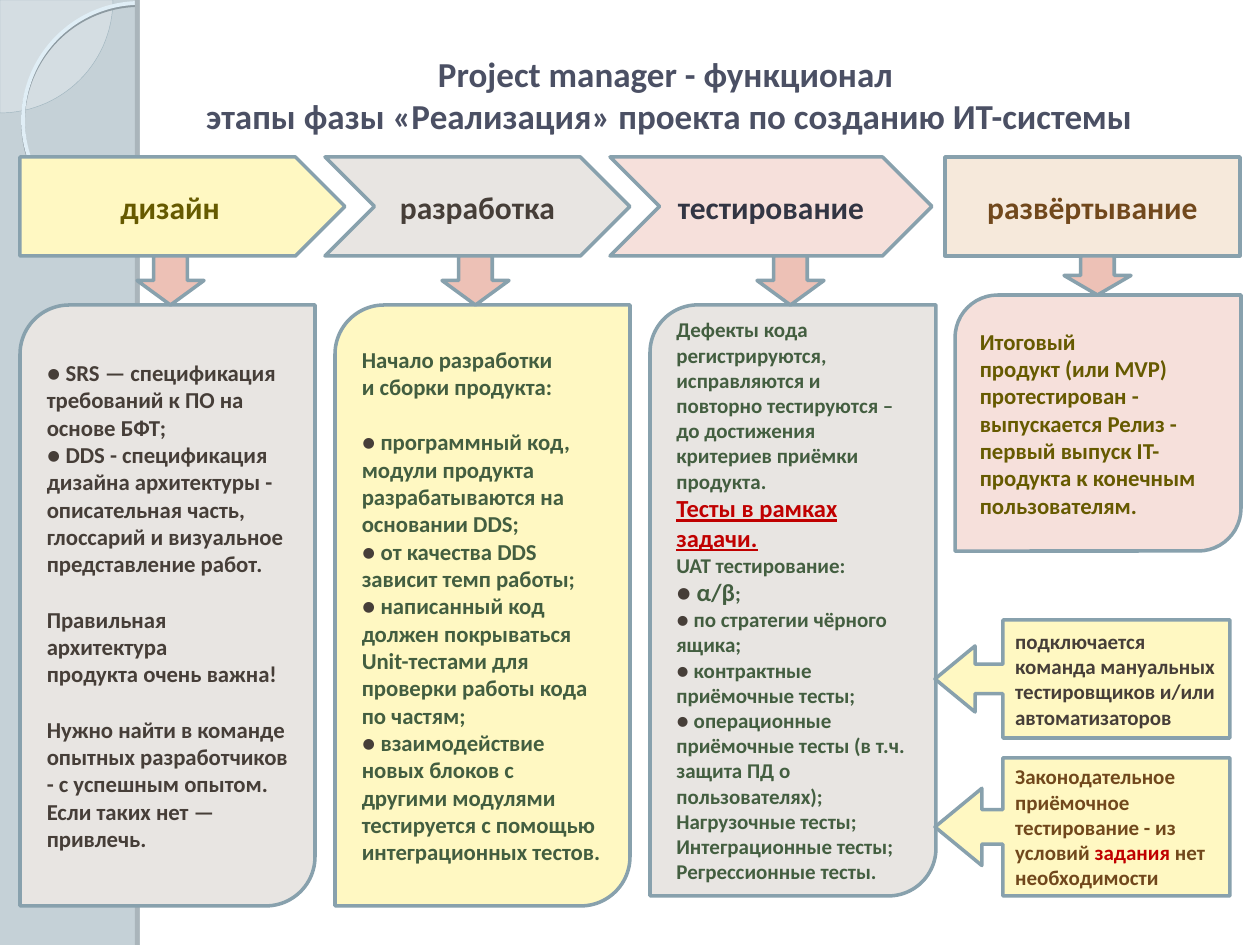
import math
from dataclasses import dataclass

from lxml import etree
from pptx import Presentation
from pptx.dml.color import RGBColor
from pptx.enum.shapes import MSO_SHAPE
from pptx.enum.text import MSO_ANCHOR, MSO_AUTO_SIZE, PP_ALIGN
from pptx.oxml.ns import qn
from pptx.util import Emu, Pt

PX = 914400 / 126
RECT, OVAL = MSO_SHAPE.RECTANGLE, MSO_SHAPE.OVAL
PENTAGON, CHEVRON = MSO_SHAPE.PENTAGON, MSO_SHAPE.CHEVRON
CARD, DOWN = MSO_SHAPE.ROUND_2_DIAG_RECTANGLE, MSO_SHAPE.DOWN_ARROW
CALLOUT = MSO_SHAPE.LEFT_ARROW_CALLOUT
LEFT, CENTER = PP_ALIGN.LEFT, PP_ALIGN.CENTER
MIDDLE, NO_FIT = MSO_ANCHOR.MIDDLE, MSO_AUTO_SIZE.NONE


@dataclass(frozen=True)
class Theme:
    font: str = "Calibri"
    title_size: int = 20
    head_size: int = 18
    body_size: int = 13
    small_size: int = 12
    accent_size: int = 14
    line_width: int = 2
    ring_width: float = 2.15
    blank_line: int = 16
    side: str = "C5D1D7"
    white: str = "FFFFFF"
    edge: str = "AAB5BB"
    petal: str = "F4F8FA"
    petal_line: str = "A0B5BF"
    ring: str = "E0EEF6"
    ring_shade: str = "8D9AA1"
    line: str = "88A1AD"
    arrow: str = "EDC1B6"
    yellow: str = "FFF8C2"
    gray: str = "E8E5E2"
    pink: str = "F6E0DB"
    peach: str = "F6E9DB"
    title: str = "4B5064"
    olive: str = "665A00"
    dark: str = "463E38"
    navy: str = "323543"
    brown: str = "71481C"
    green: str = "435E40"
    red: str = "C00000"


T = Theme()


@dataclass
class Run:
    text: str
    color: str = ""
    size: int = 0
    underline: bool = False


@dataclass
class Para:
    runs: list
    gap: bool = False


@dataclass
class Stage:
    box: tuple
    head: tuple
    head_kind: int
    name: str
    head_fill: str
    head_color: str
    arrow_x: int
    drop: int
    fill: str
    color: str
    size: int
    paras: list


def px(*values):
    return [Emu(round(v * PX)) for v in values]


def rgb(color):
    return RGBColor.from_string(color)


def style(sp, fill=None, line=None, width=T.line_width):
    sp.shadow.inherit = False
    if fill:
        sp.fill.solid()
        sp.fill.fore_color.rgb = rgb(fill)
    else:
        sp.fill.background()
    if line:
        sp.line.color.rgb = rgb(line)
        sp.line.width = Pt(width)
    else:
        sp.line.fill.background()


def shape(s, kind, box, fill=None, line=None, width=T.line_width):
    sp = s.shapes.add_shape(kind, *px(*box))
    style(sp, fill, line, width)
    return sp


def split_bullet(para):
    if isinstance(para, str):
        para = Para([Run(para)])
    first = para.runs[0]
    if len(para.runs) == 1 and first.text.startswith("●"):
        return Para([Run("●", T.dark), Run(first.text[1:])], para.gap)
    return para


def write(sp, paras, size, color, align=LEFT):
    tf = sp.text_frame
    tf.word_wrap, tf.auto_size, tf.vertical_anchor = True, NO_FIT, MIDDLE
    for i, para in enumerate(map(split_bullet, paras)):
        p = tf.add_paragraph() if i else tf.paragraphs[0]
        p.alignment = align
        p.space_before = Pt(T.blank_line if para.gap else 0)
        p.font.name, p.font.size, p.font.bold = T.font, Pt(size), True
        p.font.color.rgb = rgb(color)
        for run in para.runs:
            r = p.add_run()
            r.text = run.text
            r.font.color.rgb = rgb(run.color or color)
            r.font.size, r.font.name, r.font.bold = Pt(run.size or size), T.font, True
            if run.underline:
                r.font.underline = True


def backdrop(s, w, h):
    s.background.fill.solid()
    s.background.fill.fore_color.rgb = rgb(T.side)
    angles = [math.radians(a) for a in range(0, 91, 3)]
    points = [px(113 * math.cos(a), 113 * math.sin(a)) for a in angles]
    builder = s.shapes.build_freeform(0, 0)
    builder.add_line_segments(points, close=True)
    petal = builder.convert_to_shape()
    style(petal, T.petal, T.petal_line, 0.25)
    color = petal.fill._xPr.find(qn("a:solidFill"))[0]
    etree.SubElement(color, qn("a:alpha"), val="33000")
    shape(s, OVAL, (23, 5, 234, 234), None, T.ring_shade, T.ring_width)
    shape(s, OVAL, (23, 3, 234, 234), None, T.ring, T.ring_width)
    shape(s, RECT, (135, 0, 5, h), T.edge)
    shape(s, RECT, (140, 0, w - 140, h), T.white)


def heading(s, box):
    sp = s.shapes.title
    sp.left, sp.top, sp.width, sp.height = px(*box)
    write(sp, ["Project manager - функционал",
               " этапы фазы «Реализация» проекта по созданию ИТ-системы"],
          T.title_size, T.title, CENTER)
    sp.element.getparent().append(sp.element)


def stage_column(s, stage):
    x, y, w, h = stage.box
    head_dx, head_w = stage.head
    head_h = 99
    head = shape(s, stage.head_kind, (x + head_dx, y, head_w, head_h), stage.head_fill, T.line)
    write(head, [stage.name], T.head_size, stage.head_color, CENTER)
    top = head_h + stage.drop
    card = shape(s, CARD, (x, y + top, w, h - top), stage.fill, T.line)
    write(card, stage.paras, stage.size, stage.color)
    shape(s, DOWN, (x + stage.arrow_x, y + head_h, 67, stage.drop), T.arrow, T.line)


def callout(s, box, paras, color):
    sp = shape(s, CALLOUT, box, T.yellow, T.line)
    for i, value in enumerate((0.25, 0.28, 0.34, 0.77)):
        sp.adjustments[i] = value
    write(sp, paras, T.small_size, color)


STAGES = [
    Stage((20, 157, 295, 749), (0, 325), PENTAGON, "дизайн", T.yellow, T.olive,
          117, 49, T.gray, T.dark, T.body_size, [
              "● SRS — спецификация", "требований к ПО на основе БФТ;",
              "● DDS - спецификация дизайна архитектуры - описательная часть, "
              "глоссарий и визуальное представление работ.",
              Para([Run("Правильная архитектура")], gap=True), "продукта очень важна!",
              Para([Run("Нужно найти в команде")], gap=True),
              "опытных разработчиков - с успешным опытом.", "Если таких нет — привлечь."]),
    Stage((335, 157, 295, 749), (-10, 305), CHEVRON, "разработка", T.gray, T.dark,
          107, 49, T.yellow, T.green, T.body_size, [
              "Начало разработки", "и сборки продукта:",
              Para([Run("● программный код, модули продукта разрабатываются "
                        "на основании DDS;")], gap=True),
              "● от качества DDS зависит темп работы;",
              "● написанный код должен покрываться Unit-тестами для проверки "
              "работы кода по частям;",
              "● взаимодействие новых блоков с другими модулями тестируется "
              "с помощью интеграционных тестов."]),
    Stage((650, 157, 286, 739), (-40, 322), CHEVRON, "тестирование", T.pink, T.navy,
          107, 49, T.gray, T.green, T.small_size, [
              "Дефекты кода регистрируются,",
              "исправляются и повторно тестируются – до достижения критериев приёмки продукта.",
              Para([Run("Тесты в рамках задачи.", T.red, T.accent_size, True)]),
              "UAT тестирование:",
              Para([Run("● ", T.dark, T.accent_size), Run("α/β", size=T.accent_size), Run(";")]),
              "● по стратегии чёрного ящика;", "● контрактные приёмочные тесты;",
              "● операционные приёмочные тесты (в т.ч. защита ПД о пользователях);",
              "Нагрузочные тесты;", "Интеграционные тесты;", "Регрессионные тесты."]),
    Stage((955, 157, 286, 394), (-10, 295), RECT, "развёртывание", T.peach, T.brown,
          109, 39, T.pink, T.olive, T.body_size, [
              "Итоговый", "продукт (или MVP)", "протестирован - выпускается Релиз -",
              "первый выпуск IT-продукта к конечным", "пользователям."]),
]


def main():
    prs = Presentation()
    prs.slide_width, prs.slide_height = px(1260, 945)
    s = prs.slides.add_slide(prs.slide_layouts[5])
    backdrop(s, 1260, 945)
    heading(s, (100, 60, 1131, 69))
    for stage in STAGES:
        stage_column(s, stage)
    callout(s, (935, 620, 295, 118),
            ["подключается команда мануальных", "тестировщиков и/или автоматизаторов"], T.dark)
    callout(s, (935, 758, 295, 138),
            [Para([Run("Законодательное приёмочное тестирование - из условий "),
                   Run("задания", T.red), Run(" нет необходимости")])], T.brown)
    prs.save("out.pptx")


if __name__ == "__main__":
    main()
